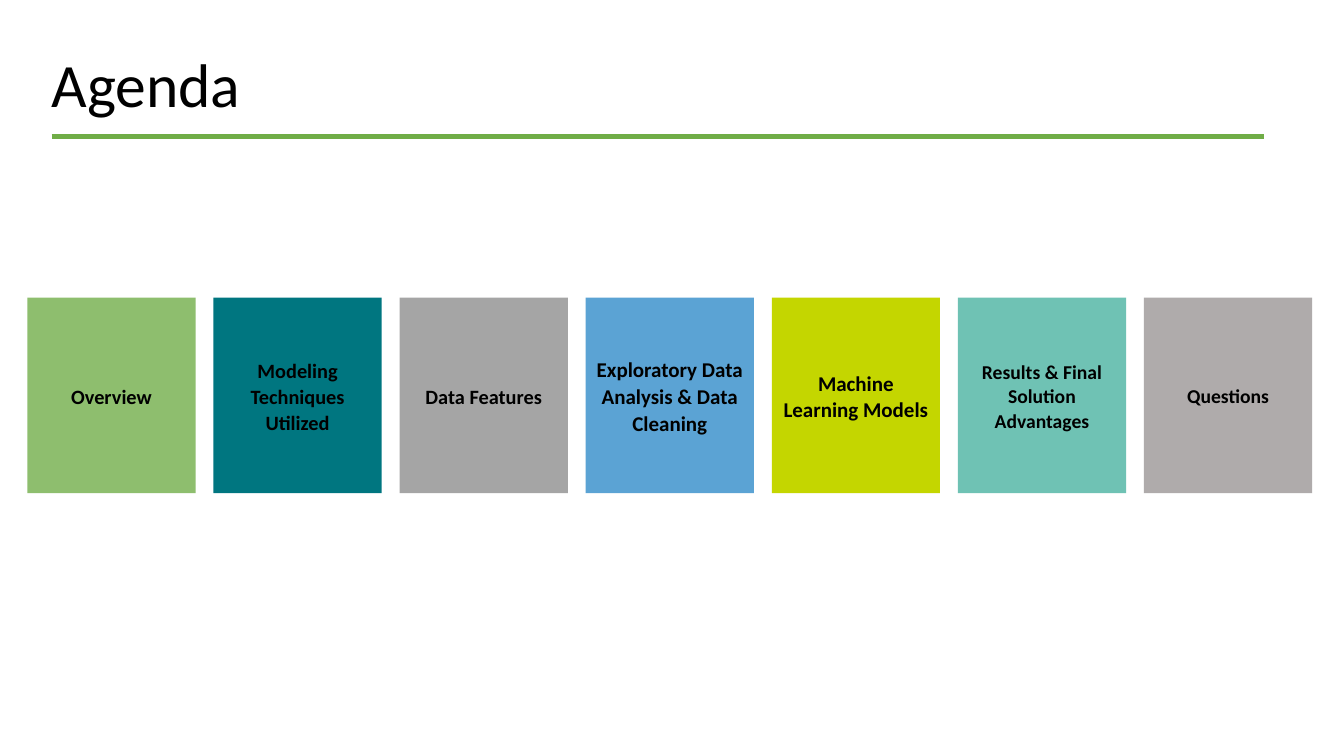
from lxml import etree
from pptx import Presentation
from pptx.dml.color import RGBColor
from pptx.enum.shapes import MSO_CONNECTOR, MSO_SHAPE
from pptx.enum.text import MSO_ANCHOR, PP_ALIGN
from pptx.oxml.ns import qn
from pptx.util import Cm, Pt

RECTANGLE = MSO_SHAPE.RECTANGLE
STRAIGHT = MSO_CONNECTOR.STRAIGHT
TOP, MIDDLE = MSO_ANCHOR.TOP, MSO_ANCHOR.MIDDLE
LEFT, CENTER = PP_ALIGN.LEFT, PP_ALIGN.CENTER

BLANK_LAYOUT = 6
FONT = "Calibri"
BLACK, GREEN = "000000", "70AD47"

TILE_LEFT, TILE_TOP, TILE_PITCH = 0.69, 7.5, 4.69
TILE_WIDTH, TILE_HEIGHT = 4.24, 4.93
TILES = [
    ("Overview", "8EBE6E", 14.5),
    ("Modeling Techniques Utilized", "007680", 14.5),
    ("Data Features", "A5A5A5", 14.5),
    ("Exploratory Data Analysis & Data Cleaning", "5BA3D4", 15),
    ("Machine Learning Models", "C4D600", 15),
    ("Results & Final Solution Advantages", "6FC2B4", 14),
    ("Questions", "AFABAB", 14),
]


def color(value):
    """Return the colour for a hex string."""
    return RGBColor.from_string(value)


def set_attributes(target, values):
    """Set each named attribute of the target."""
    for name, value in values.items():
        setattr(target, name, value)


def write_text(box, text, size, bold, spacing, align, anchor, margin):
    """Write one formatted paragraph into a box."""
    frame = box.text_frame
    sides = ("left", "top", "right", "bottom")
    set_attributes(frame, {f"margin_{side}": Cm(margin) for side in sides})
    set_attributes(frame, {"word_wrap": True, "vertical_anchor": anchor})
    para = frame.paragraphs[0]
    set_attributes(para, {"alignment": align, "line_spacing": spacing})
    span = para.add_run()
    span.text = text
    set_attributes(span.font, {"name": FONT, "size": Pt(size), "bold": bold})
    span.font.color.rgb = color(BLACK)


def add_title(page, text):
    """Add the page title."""
    box = page.shapes.add_textbox(Cm(1.3), Cm(1.37), Cm(31.12), Cm(0.97))
    write_text(box, text, 44, False, 0.9, LEFT, TOP, 0)


def add_tile(page, left, text, fill, size):
    """Add one agenda tile."""
    box = page.shapes.add_shape(
        RECTANGLE, Cm(left), Cm(TILE_TOP), Cm(TILE_WIDTH), Cm(TILE_HEIGHT)
    )
    box.shadow.inherit = False
    box.fill.solid()
    box.fill.fore_color.rgb = color(fill)
    box.line.fill.background()
    write_text(box, text, size, True, 1.06, CENTER, MIDDLE, 0.2)


def add_rule(page):
    """Add the horizontal line under the title."""
    rule = page.shapes.add_connector(
        STRAIGHT, Cm(1.3), Cm(3.43), Cm(31.85), Cm(3.43)
    )
    rule.line.width = Pt(3.5)
    rule.line.color.rgb = color(GREEN)
    etree.SubElement(rule._element.spPr, qn("a:effectLst"))


def main():
    """Build and save the agenda slide."""
    deck = Presentation()
    set_attributes(deck, {"slide_width": Cm(33.87), "slide_height": Cm(19.05)})
    page = deck.slides.add_slide(deck.slide_layouts[BLANK_LAYOUT])
    add_title(page, "Agenda")
    for index, (text, fill, size) in enumerate(TILES):
        add_tile(page, TILE_LEFT + index * TILE_PITCH, text, fill, size)
    add_rule(page)
    deck.save("out.pptx")


if __name__ == "__main__":
    main()
